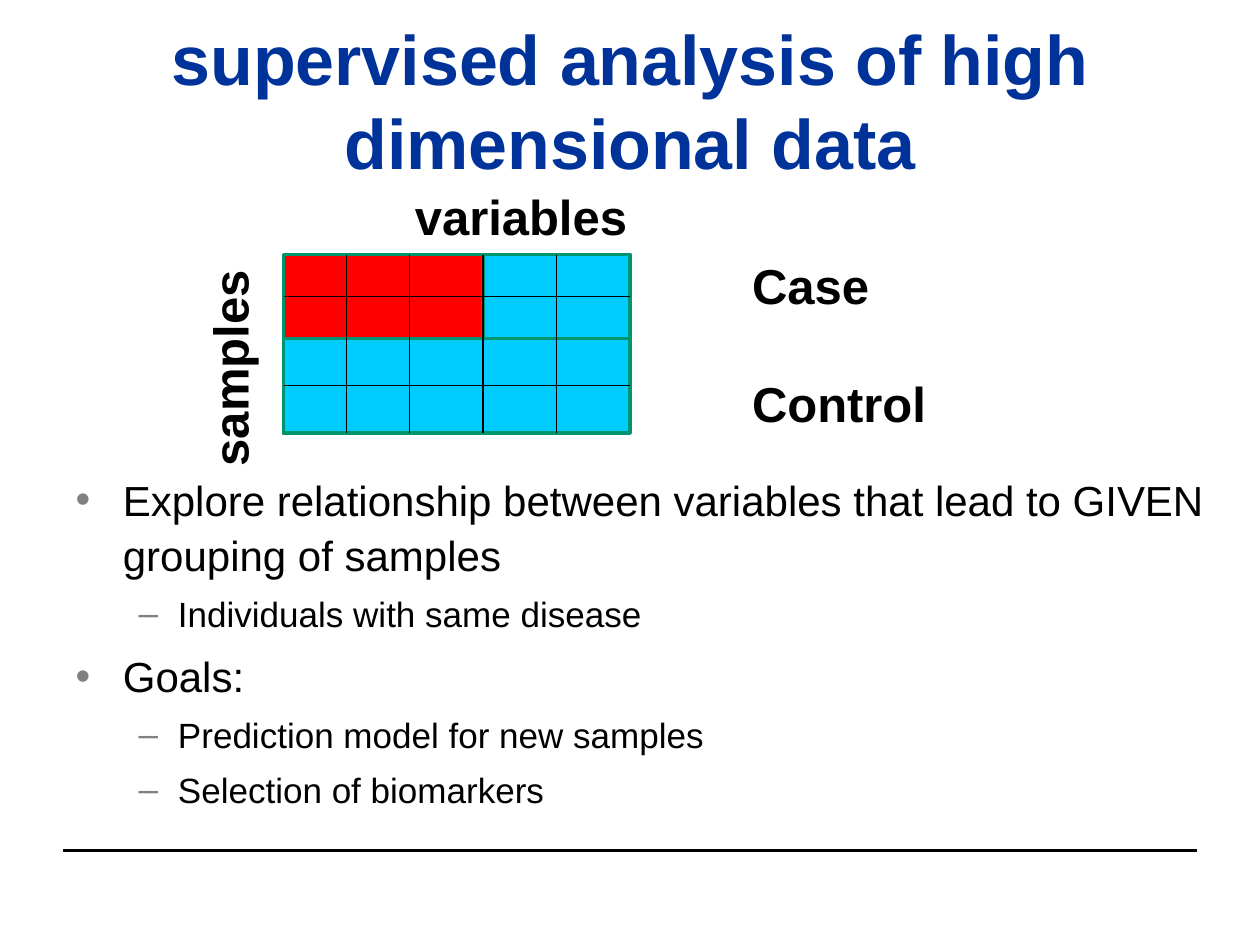
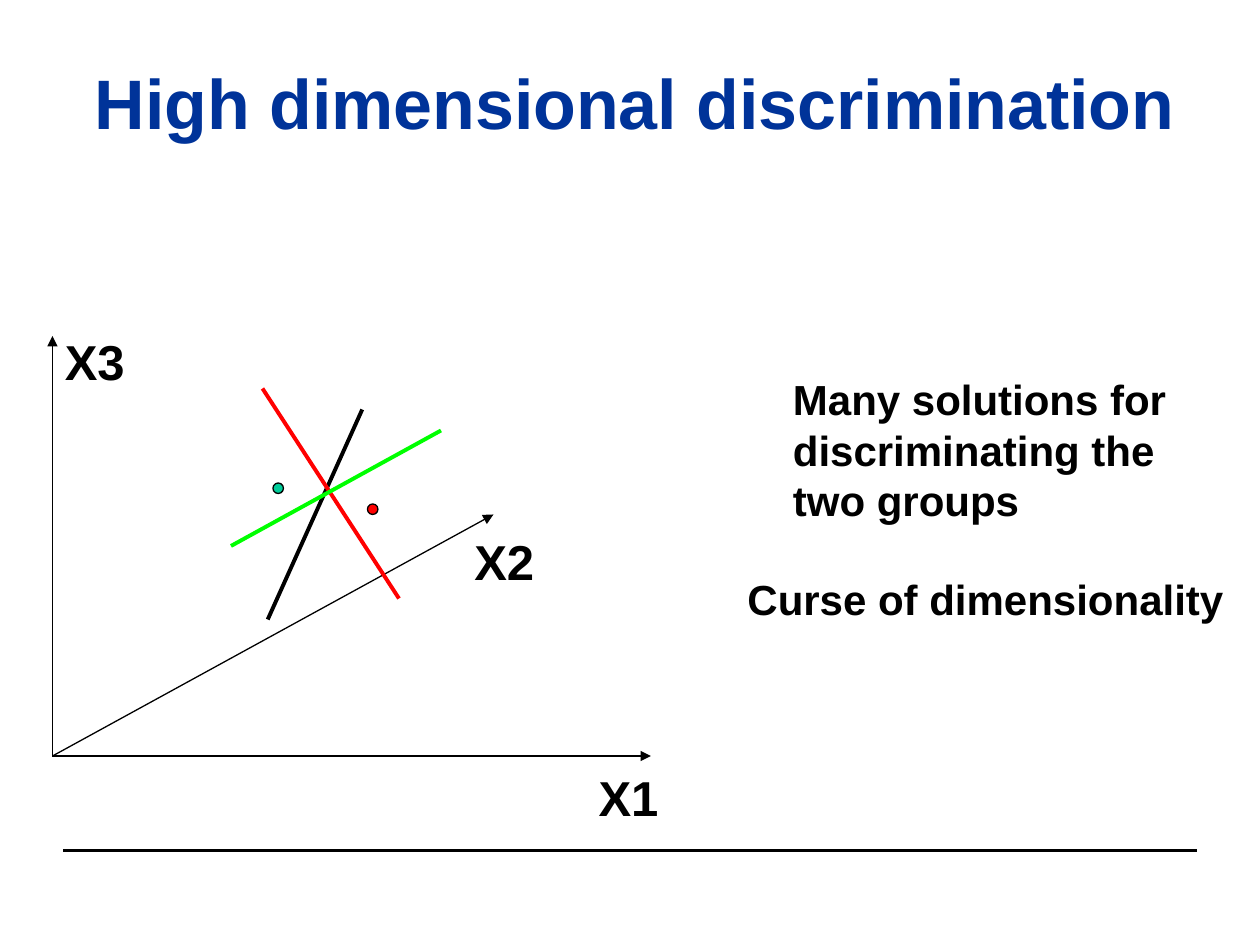
from dataclasses import dataclass

from lxml.etree import SubElement
from pptx import Presentation
from pptx.dml.color import RGBColor
from pptx.enum.shapes import MSO_CONNECTOR, MSO_SHAPE
from pptx.enum.text import MSO_ANCHOR, MSO_AUTO_SIZE, PP_ALIGN
from pptx.oxml.ns import qn
from pptx.util import Pt


@dataclass(frozen=True)
class Theme:
    font: str = "Arial"
    title: str = "003399"
    black: str = "000000"
    white: str = "FFFFFF"
    bullet: str = "808080"
    red: str = "FF0000"
    green: str = "00FF00"
    cyan: str = "00CCFF"
    teal: str = "00CC99"
    border: str = "00956F"
    title_size: int = 40
    label_size: int = 28
    body_size: int = 24
    sub_size: int = 20
    thin: float = 0.75
    thick: float = 2
    divider: float = 2.25


def rgb(value):
    return RGBColor.from_string(value)


def write(p, text, size, color, font, bold=False, align=None, before=0, spacing=None):
    """Fill a paragraph with one formatted run."""
    p.alignment = align
    p.space_before = Pt(before)
    p.line_spacing = spacing
    r = p.add_run()
    r.text = text
    r.font.name = font
    r.font.size = Pt(size)
    r.font.bold = bold
    r.font.color.rgb = rgb(color)


class Deck:
    def __init__(self, theme):
        self.t = theme
        self.prs = Presentation()
        self.prs.slide_width, self.prs.slide_height = Pt(720), Pt(540)
        self.s = None

    def slide(self, layout):
        """Start a slide with the shared rule at its foot."""
        self.s = self.prs.slides.add_slide(self.prs.slide_layouts[layout])
        self.line((36, 486), (684, 486), width=self.t.thick)

    def place(self, sp, x, y, w, h):
        sp.left, sp.top, sp.width, sp.height = Pt(x), Pt(y), Pt(w), Pt(h)
        sp.text_frame.auto_size = MSO_AUTO_SIZE.NONE

    def title(self, text, *box):
        sp = self.s.shapes.title
        self.place(sp, *box)
        sp.text_frame.vertical_anchor = MSO_ANCHOR.MIDDLE
        write(sp.text_frame.paragraphs[0], text, self.t.title_size, self.t.title,
              self.t.font, bold=True, align=PP_ALIGN.CENTER)

    def bullets(self, items, *box):
        """Write (level, text) pairs into the body placeholder."""
        sp = self.s.placeholders[1]
        self.place(sp, *box)
        tf = sp.text_frame
        tf.vertical_anchor = MSO_ANCHOR.TOP
        styles = [("•", 27, -27, self.t.body_size, 6),
                  ("–", 58.5, -22.5, self.t.sub_size, 5)]
        for i, (level, text) in enumerate(items):
            char, margin, indent, size, before = styles[level]
            p = tf.paragraphs[0] if i == 0 else tf.add_paragraph()
            p.level = level
            pPr = p._p.get_or_add_pPr()
            pPr.set("marL", str(Pt(margin)))
            pPr.set("indent", str(Pt(indent)))
            color = SubElement(pPr, qn("a:buClr"))
            SubElement(color, qn("a:srgbClr"), val=self.t.bullet)
            SubElement(pPr, qn("a:buFont"), typeface=self.t.font)
            SubElement(pPr, qn("a:buChar"), char=char)
            write(p, text, size, self.t.black, self.t.font, align=PP_ALIGN.LEFT,
                  before=before if i else 0, spacing=1.1)

    def label(self, lines, x, y, w, h, size=None, gap=0, rotation=0, fill=None):
        """Add a bold text box, one paragraph per line."""
        sp = self.s.shapes.add_textbox(Pt(x), Pt(y), Pt(w), Pt(h))
        sp.rotation = rotation
        if fill:
            sp.fill.solid()
            sp.fill.fore_color.rgb = rgb(fill)
        tf = sp.text_frame
        tf.word_wrap = False
        tf.auto_size = MSO_AUTO_SIZE.SHAPE_TO_FIT_TEXT
        for i, text in enumerate(lines):
            p = tf.add_paragraph() if i else tf.paragraphs[0]
            write(p, text, size or self.t.label_size, self.t.black, self.t.font,
                  bold=True, before=gap if i else 0)

    def shape(self, kind, x, y, w, h, fill, line, width):
        sp = self.s.shapes.add_shape(kind, Pt(x), Pt(y), Pt(w), Pt(h))
        sp.shadow.inherit = False
        sp.fill.solid()
        sp.fill.fore_color.rgb = rgb(fill)
        sp.line.color.rgb = rgb(line)
        sp.line.width = Pt(width)
        return sp

    def block(self, x, y, w, h, fill):
        return self.shape(MSO_SHAPE.RECTANGLE, x, y, w, h, fill, self.t.border, self.t.thick)

    def dot(self, x, y, fill):
        self.shape(MSO_SHAPE.OVAL, x, y, 6, 6, fill, self.t.black, self.t.thin)

    def line(self, start, end, color=None, width=None, arrow=False):
        c = self.s.shapes.add_connector(MSO_CONNECTOR.STRAIGHT, *map(Pt, start + end))
        c.line.color.rgb = rgb(color or self.t.black)
        c.line.width = Pt(width or self.t.thin)
        if arrow:
            SubElement(c.line._get_or_add_ln(), qn("a:tailEnd"), type="triangle")
        SubElement(c._element.spPr, qn("a:effectLst"))
        return c


def supervised_analysis(d):
    t = d.t
    d.slide(1)
    d.title("supervised analysis of high dimensional data", 54, 12, 612, 90)
    d.bullets([
        (0, "Explore relationship between variables that lead to GIVEN grouping of samples"),
        (1, "Individuals with same disease"),
        (0, "Goals:"),
        (1, "Prediction model for new samples"),
        (1, "Selection of biomarkers"),
    ], 36, 264.5, 664.5, 218)

    # Data matrix: case rows over control rows
    left, right, top, middle, bottom = 162, 360, 145.5, 193.5, 247.5
    d.block(254, top, right - 254, bottom - top, t.cyan)
    d.block(left, top, 276 - left, bottom - top, t.red)
    for step in (1, 2, 3):
        d.line((left, top + 24 * step), (right, top + 24 * step))
    control = d.block(left, middle, right - left, bottom - middle, t.cyan)
    for x in (198, 234, 276, 318):
        d.line((x, top), (x, bottom))
    row = d.line((left, 220.5), (right, 220.5))
    row.begin_connect(control, 1)
    row.end_connect(control, 3)

    # Matrix labels
    d.label(["samples"], 63, 185, 136, 41, rotation=270)
    d.label(["variables"], 230, 103, 138, 41)
    d.label(["Case", "Control"], 422.7, 142.5, 116, 108, gap=33.6)


def discrimination(d):
    t = d.t
    d.slide(5)
    d.title("High dimensional discrimination", 36, 13, 653.5, 90)

    # Axes
    origin = (30, 432)
    for tip in ((30, 192), (372, 432), (282, 294)):
        d.line(origin, tip, arrow=True)

    # Two samples and the lines that separate them
    d.dot(156, 276, t.teal)
    d.dot(210, 288, t.red)
    for start, end, color in (((153, 354), (207, 234), t.black),
                              ((150, 222), (228, 342), t.red),
                              ((132, 312), (252, 246), t.green)):
        d.line(start, end, color, t.divider)

    # Axis names and remarks
    for name, x, y in (("X1", 335, 435), ("X2", 264, 300), ("X3", 30, 186)):
        d.label([name], x, y, 52, 41)
    d.label(["Curse of dimensionality"], 420, 324, 286.5, 36, size=t.body_size, fill=t.white)
    d.label(["Many solutions for", "discriminating the", "two groups"],
            446, 210, 234, 93.5, size=t.body_size)


def main():
    d = Deck(Theme())
    supervised_analysis(d)
    discrimination(d)
    d.prs.save("out.pptx")


if __name__ == "__main__":
    main()
